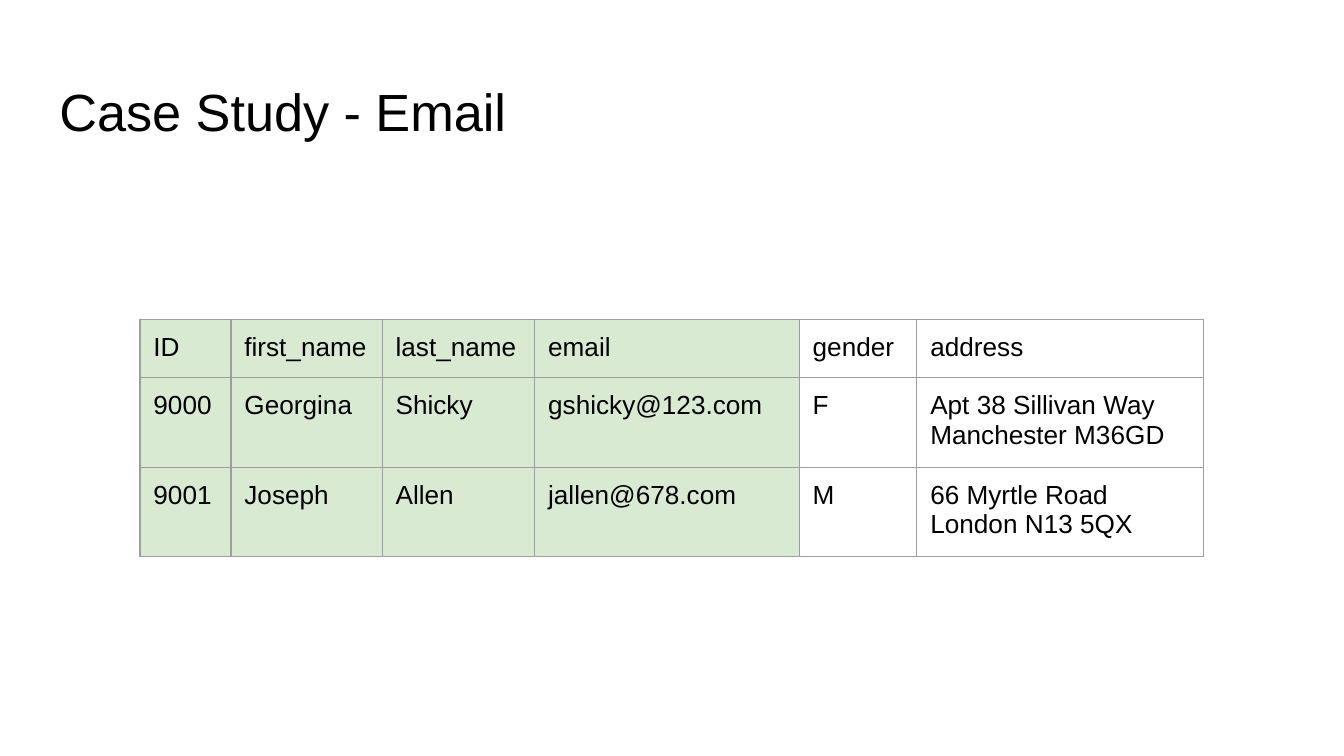
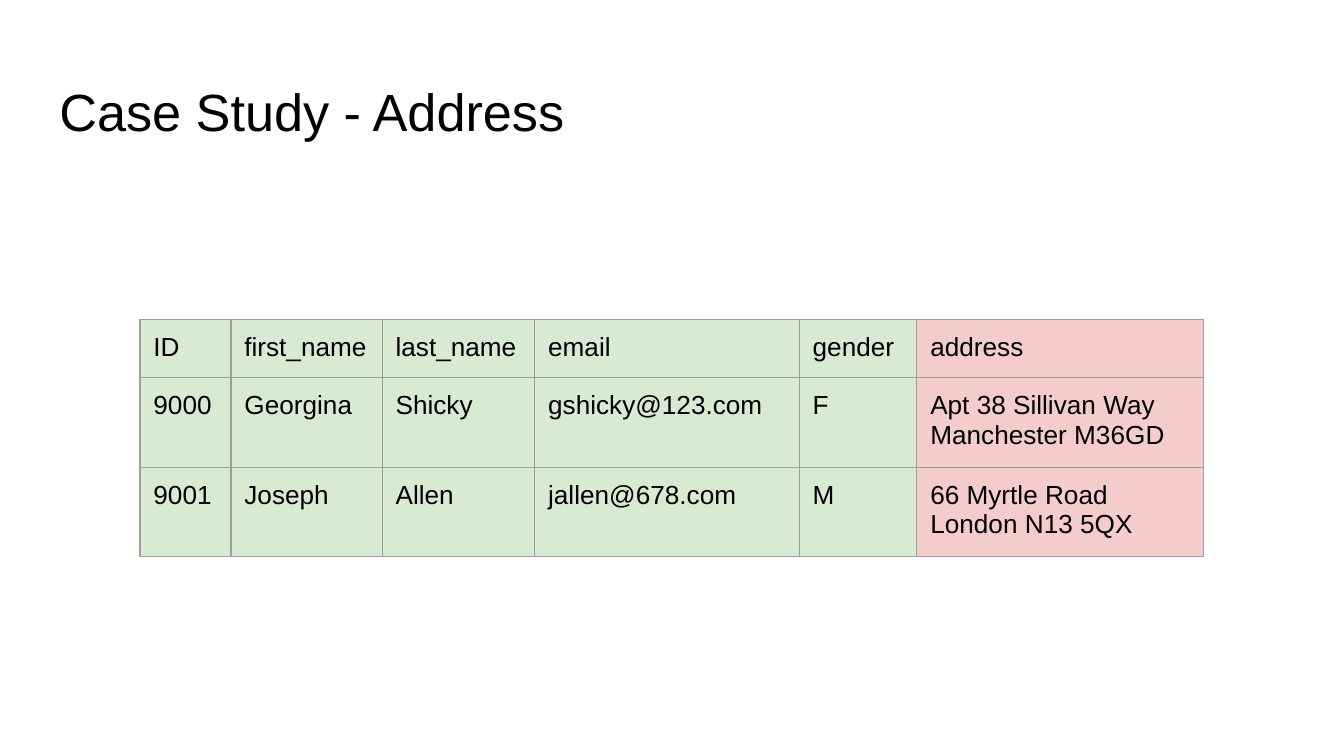
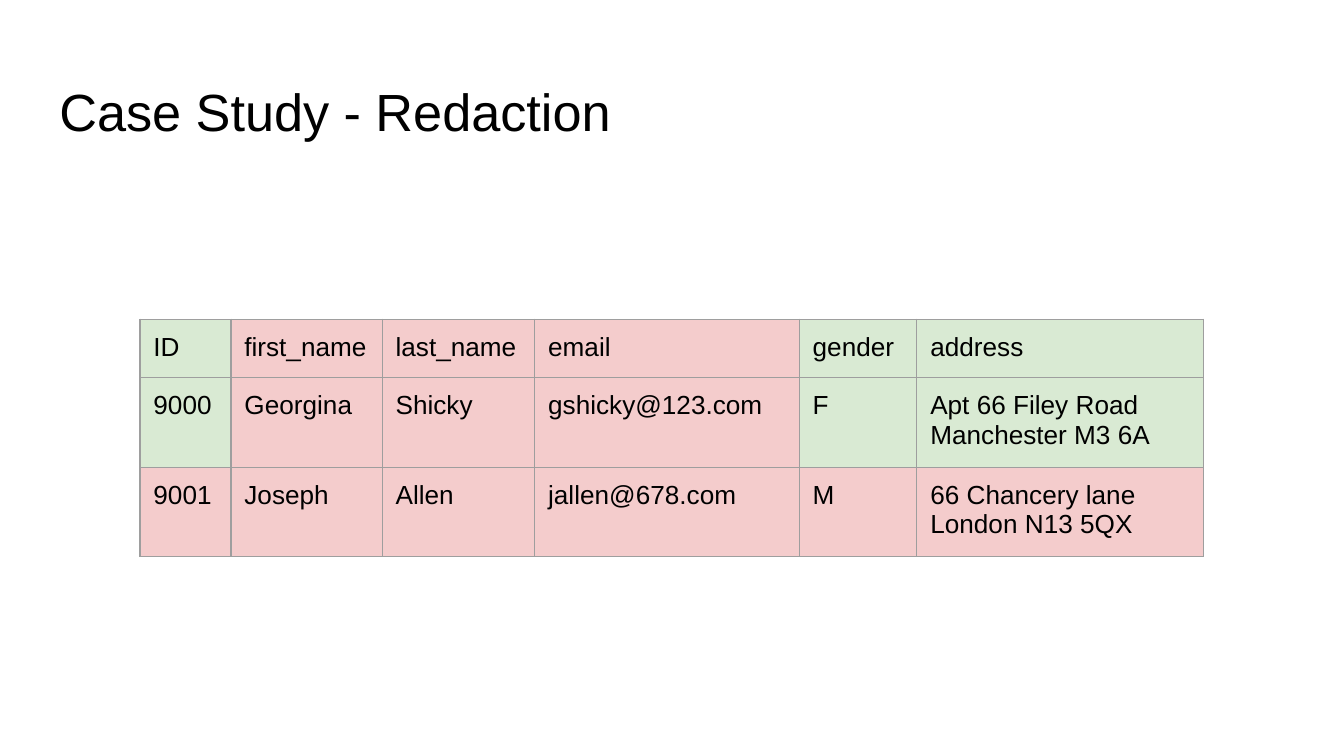
from dataclasses import dataclass

from lxml.etree import SubElement
from pptx import Presentation
from pptx.dml.color import RGBColor as Rgb
from pptx.oxml.ns import qn
from pptx.util import Pt

PX = 9525


@dataclass(frozen=True)
class Theme:
    """Colours, type sizes and insets shared by all slides."""
    font: str = "Arial"
    ink: str = "000000"
    paper: str = "FFFFFF"
    rule: str = "9E9E9E"
    kept: str = "D9EAD3"
    redacted: str = "F4CCCC"
    title_size: int = 28
    cell_size: int = 14
    rule_width: float = 0.75
    inset: float = 7.2


class CaseDeck:
    """Deck builder holding the theme and the current slide."""

    def __init__(self, theme):
        """Start an empty widescreen deck."""
        self.theme = theme
        self.deck = Presentation()
        self.deck.slide_width = 960 * PX
        self.deck.slide_height = 540 * PX
        self.slide = None

    def add_page(self):
        """Open a new blank slide on the paper colour."""
        self.slide = self.deck.slides.add_slide(self.deck.slide_layouts[6])
        background = self.slide.background.fill
        background.solid()
        background.fore_color.rgb = Rgb.from_string(self.theme.paper)

    def style(self, para, size):
        """Apply the shared typeface and ink to a paragraph."""
        para.font.name = self.theme.font
        para.font.size = Pt(size)
        para.font.color.rgb = Rgb.from_string(self.theme.ink)

    def set_insets(self, holder):
        """Give a text frame or cell the shared inset on every side."""
        inset = Pt(self.theme.inset)
        holder.margin_left = holder.margin_right = inset
        holder.margin_top = holder.margin_bottom = inset

    def add_title(self, text):
        """Write the slide title."""
        box = self.slide.shapes.add_textbox(33 * PX, 47 * PX, 895 * PX, 60 * PX)
        frame = box.text_frame
        frame.word_wrap = True
        self.set_insets(frame)
        frame.text = text
        self.style(frame.paragraphs[0], self.theme.title_size)

    def add_borders(self, cell):
        """Draw a thin rule on all four sides of a cell."""
        properties = cell._tc.get_or_add_tcPr()
        width = str(Pt(self.theme.rule_width))
        for side in ("a:lnL", "a:lnR", "a:lnT", "a:lnB"):
            line = SubElement(properties, qn(side), w=width)
            fill = SubElement(line, qn("a:solidFill"))
            SubElement(fill, qn("a:srgbClr"), val=self.theme.rule)

    def fill_cell(self, cell, text, colour):
        """Write one cell with its borders and background."""
        self.set_insets(cell)
        cell.text = text
        self.style(cell.text_frame.paragraphs[0], self.theme.cell_size)
        self.add_borders(cell)
        if colour:
            cell.fill.solid()
            cell.fill.fore_color.rgb = Rgb.from_string(colour)
        else:
            cell.fill.background()

    def add_records(self, rows, marks):
        """Add the records table, coloured by one mark per cell."""
        widths = (65, 108, 109, 189, 84, 205)
        row_height = 40
        frame_side = 315 * PX
        colours = {"K": self.theme.kept, "R": self.theme.redacted, "-": None}
        holder = self.slide.shapes.add_table(
            len(rows), len(widths), 100 * PX, 228 * PX, frame_side, frame_side)
        table = holder.table
        table.first_row = table.horz_banding = False
        for column, width in zip(table.columns, widths):
            column.width = width * PX
        for table_row, texts, row_marks in zip(table.rows, rows, marks):
            table_row.height = row_height * PX
            for cell, text, mark in zip(table_row.cells, texts, row_marks):
                self.fill_cell(cell, text, colours[mark])
        holder.width = holder.height = frame_side


def customer_rows(georgina_address, joseph_address):
    """Return the header and both customers with the given addresses."""
    return (
        ("ID", "first_name", "last_name", "email", "gender", "address"),
        ("9000", "Georgina", "Shicky", "gshicky@123.com", "F", georgina_address),
        ("9001", "Joseph", "Allen", "jallen@678.com", "M", joseph_address),
    )


def main():
    """Build the three case study slides."""
    current = customer_rows("Apt 38 Sillivan Way Manchester M36GD",
                            "66 Myrtle Road London N13 5QX")
    previous = customer_rows("Apt 66 Filey Road Manchester M3 6A",
                             "66 Chancery lane London N13 5QX")
    cases = (
        ("Email", current, ("KKKK--",) * 3),
        ("Address", current, ("KKKKKR",) * 3),
        ("Redaction", previous, ("KRRRKK", "KRRRKK", "RRRRRR")),
    )
    builder = CaseDeck(Theme())
    for topic, rows, marks in cases:
        builder.add_page()
        builder.add_title(f"Case Study - {topic}")
        builder.add_records(rows, marks)
    builder.deck.save("out.pptx")


if __name__ == "__main__":
    main()
